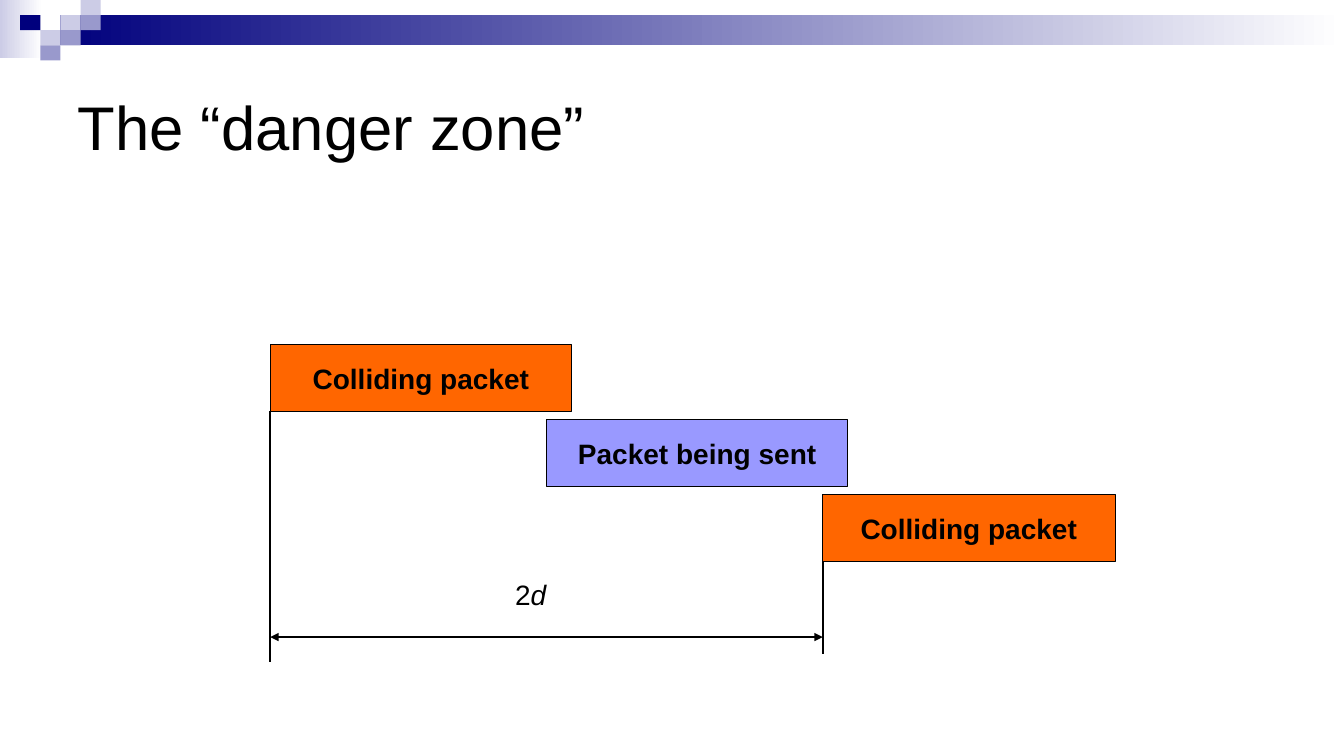
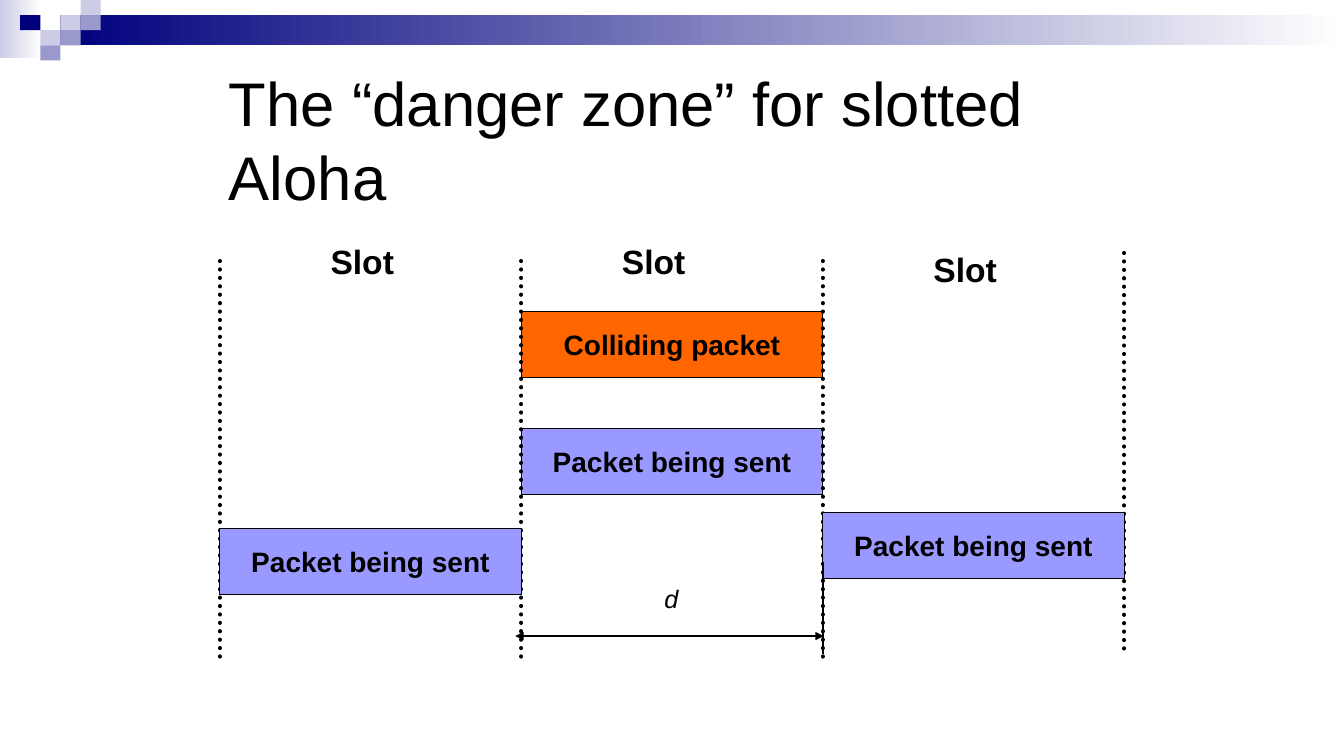
from lxml import etree
from pptx import Presentation
from pptx.dml.color import RGBColor
from pptx.enum.dml import MSO_LINE
from pptx.enum.shapes import MSO_CONNECTOR, MSO_SHAPE
from pptx.enum.text import MSO_ANCHOR, MSO_AUTO_SIZE, PP_ALIGN
from pptx.oxml.ns import qn
from pptx.util import Inches, Pt

RECT, STRAIGHT = MSO_SHAPE.RECTANGLE, MSO_CONNECTOR.STRAIGHT
LEFT, CENTER, MIDDLE = PP_ALIGN.LEFT, PP_ALIGN.CENTER, MSO_ANCHOR.MIDDLE
GROW, FIXED = MSO_AUTO_SIZE.SHAPE_TO_FIT_TEXT, MSO_AUTO_SIZE.NONE
DOTTED = MSO_LINE.ROUND_DOT

# Shared look
FONT = "Arial"
BLACK, WHITE = "000000", "FFFFFF"
NAVY, MIST, HAZE = "00007D", "CCCCE6", "9999CC"
ORANGE, LILAC = "FF6600", "9999FF"
COLLIDING = ("Colliding packet", ORANGE)
SENT = ("Packet being sent", LILAC)

# Grids in inches: header tiles, packets and slots
SLIDE_W, SLIDE_H = 13.33, 7.5
TILE_W, TILE_H = 0.2, 0.15
PACKET_W, PACKET_H = 2.99, 0.66
SLOTS = [2.18 + PACKET_W * i for i in range(4)]


def rgb(color):
    return RGBColor.from_string(color)


def inches(*lengths):
    return [Inches(n) for n in lengths]


def add_run(p, text, size, bold=False, italic=False):
    r = p.add_run()
    r.text = text
    r.font.name, r.font.size = FONT, Pt(size)
    r.font.bold, r.font.italic = bold, italic
    r.font.color.rgb = rgb(BLACK)


def add_block(s, x, y, w, h, *colors):
    """Borderless rectangle; two colours make a left-to-right gradient."""
    block = s.shapes.add_shape(RECT, *inches(x, y, w, h))
    block.shadow.inherit = False
    block.line.fill.background()
    if len(colors) == 1:
        block.fill.solid()
        block.fill.fore_color.rgb = rgb(colors[0])
    else:
        block.fill.gradient()
        block.fill.gradient_angle = 0
        for i, (stop, color) in enumerate(zip(block.fill.gradient_stops, colors)):
            stop.position = i
            stop.color.rgb = rgb(color)
    return block


def add_packet(s, x, y, kind, w=PACKET_W):
    text, color = kind
    packet = add_block(s, x, y, w, PACKET_H, color)
    packet.line.color.rgb = rgb(BLACK)
    packet.line.width = Pt(0.75)
    tf = packet.text_frame
    tf.word_wrap, tf.vertical_anchor = False, MIDDLE
    tf.paragraphs[0].alignment = CENTER
    add_run(tf.paragraphs[0], text, 20, bold=True)


def add_label(s, x, y, w, h, size, *runs):
    """Each run is (text, bold, italic)."""
    tf = s.shapes.add_textbox(*inches(x, y, w, h)).text_frame
    tf.word_wrap, tf.auto_size = False, GROW
    for text, bold, italic in runs:
        add_run(tf.paragraphs[0], text, size, bold, italic)


def add_line(s, x1, y1, x2, y2, width=1.5, dotted=False, arrows=False):
    line = s.shapes.add_connector(STRAIGHT, *inches(x1, y1, x2, y2))
    line.line.color.rgb = rgb(BLACK)
    line.line.width = Pt(width)
    sp_pr = line.element.spPr
    ln = sp_pr.find(qn("a:ln"))
    if dotted:
        line.line.dash_style = DOTTED
        ln.set("cap", "rnd")
    if arrows:
        for end in ("a:headEnd", "a:tailEnd"):
            etree.SubElement(ln, qn(end)).set("type", "triangle")
    etree.SubElement(sp_pr, qn("a:effectLst"))


def add_titled_slide(prs, text, x, y, w, h):
    s = prs.slides.add_slide(prs.slide_layouts[5])
    title = s.shapes.title
    title.left, title.top, title.width, title.height = inches(x, y, w, h)
    tf = title.text_frame
    tf.word_wrap, tf.auto_size, tf.vertical_anchor = True, FIXED, MIDDLE
    tf.paragraphs[0].alignment = LEFT
    add_run(tf.paragraphs[0], text, 44)
    return s


def put_header_on_master(prs, s):
    """Draw the header band and tiles, then move them to the master."""
    blocks = [
        add_block(s, 0, 0, 0.42, 0.58, MIST, WHITE),
        add_block(s, 3 * TILE_W, TILE_H, SLIDE_W - 3 * TILE_W, 2 * TILE_H, NAVY, WHITE),
    ]
    tiles = [(3, 1, MIST), (4, 0, MIST), (4, 1, HAZE), (2, 2, MIST),
             (1, 1, NAVY), (3, 2, HAZE), (2, 3, HAZE)]
    for col, row, color in tiles:
        blocks.append(add_block(s, col * TILE_W, row * TILE_H, TILE_W, TILE_H, color))
    for block in blocks:
        prs.slide_master.shapes.element.append(block.element)


def build_danger_zone(prs):
    s = add_titled_slide(prs, "The “danger zone”", 0.67, 0.5, 12, 1.5)
    # Staircase of overlapping packets
    start, step_x, top, step_y = 2.68, 2.74, 3.42, 0.745
    end = start + 2 * step_x
    for i, (kind, w) in enumerate([(COLLIDING, PACKET_W), (SENT, PACKET_W), (COLLIDING, 2.9)]):
        add_packet(s, start + i * step_x, top + i * step_y, kind, w)
    # Dimension of the zone
    add_line(s, start, top + PACKET_H, start, 6.57)
    add_line(s, end, top + 2 * step_y + PACKET_H, end, 6.49)
    add_line(s, start, 6.32, end, 6.32, arrows=True)
    add_label(s, 5.01, 5.68, 0.51, 0.44, 20, ("2", False, False), ("d", False, True))
    return s


def build_slotted_zone(prs):
    s = add_titled_slide(prs, "The “danger zone” for slotted Aloha", 2.17, 0.5, 9, 1.76)
    # Packets in the middle slot lie under the slot borders
    add_packet(s, SLOTS[1], 4.25, SENT)
    add_packet(s, SLOTS[1], 3.09, COLLIDING)
    for x, y in zip(SLOTS, (2.59, 2.59, 2.59, 2.51)):
        add_line(s, x, y, x, y + 3.98, width=3, dotted=True)
    # Packets in the outer slots lie over them
    add_packet(s, SLOTS[2], 5.08, SENT)
    add_packet(s, SLOTS[0], 5.24, SENT)
    # Dimension of the zone
    add_line(s, SLOTS[2], 5.58, SLOTS[2], 6.49)
    add_line(s, 5.11, 6.31, 8.17, 6.31, arrows=True)
    add_label(s, 6.49, 5.74, 0.36, 0.4, 18, ("d", False, True))
    # Slot headings
    for x, y in ((3.18, 2.34), (6.07, 2.34), (9.16, 2.42)):
        add_label(s, x, y, 0.83, 0.5, 24, ("Slot", True, False))


def main():
    prs = Presentation()
    prs.slide_width, prs.slide_height = inches(SLIDE_W, SLIDE_H)
    s = build_danger_zone(prs)
    put_header_on_master(prs, s)
    build_slotted_zone(prs)
    prs.save("out.pptx")


if __name__ == "__main__":
    main()
